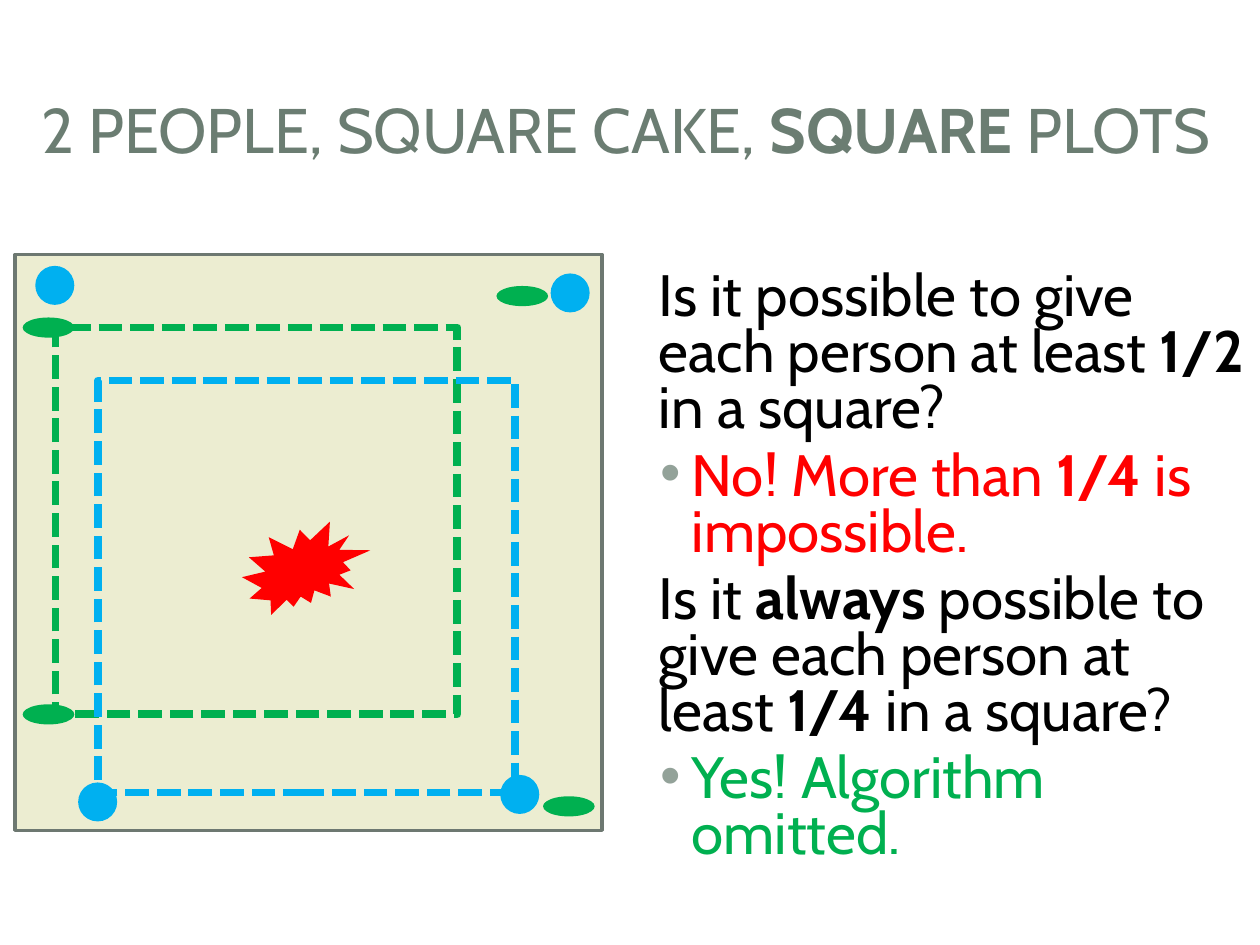
from dataclasses import dataclass
from pptx import Presentation
from pptx import util as u
from pptx.dml import color
from pptx.enum import dml, shapes, text
from pptx.oxml import xmlchemy, ns
from lxml import etree


@dataclass(frozen=True)
class Theme:
    font: str = "Cabin"
    title_size: float = 36
    body_size: float = 33.3
    title: str = "6B7D72"
    body: str = "000000"
    bullet: str = "93A299"
    cake: str = "ECEDD1"
    cake_edge: str = "6D7871"
    red: str = "FF0000"
    green: str = "00B050"
    blue: str = "00B0F0"


theme = Theme()
Kind = shapes.MSO_SHAPE

deck = Presentation()
deck.slide_width, deck.slide_height = u.Inches(10), u.Inches(7.5)
page = deck.slides.add_slide(deck.slide_layouts[1])


def add_shape(kind, place, fill=None, edge=None, width=0):
    shape = page.shapes.add_shape(kind, *[u.Inches(value) for value in place])
    shape.shadow.inherit = False
    if fill:
        shape.fill.solid()
        shape.fill.fore_color.rgb = color.RGBColor.from_string(fill)
    else:
        shape.fill.background()
    if edge:
        shape.line.color.rgb = color.RGBColor.from_string(edge)
        shape.line.width = u.Pt(width)
    else:
        shape.line.fill.background()
    return shape


def add_spans(para, pieces, size, tint):
    for index, piece in enumerate(pieces):
        span = para.add_run()
        span.text = piece
        span.font.name = theme.font
        span.font.size = u.Pt(size)
        span.font.bold = index % 2 == 1
        span.font.color.rgb = color.RGBColor.from_string(tint)


title, body = page.shapes.title, page.placeholders[1]
for box, place, anchor in [
    (title, (0.12, 0.45, 9.69, 1.14), text.MSO_ANCHOR.MIDDLE),
    (body, (5.01, 2.11, 5.04, 4.8), text.MSO_ANCHOR.TOP),
]:
    box.left, box.top, box.width, box.height = [u.Inches(value) for value in place]
    box.text_frame.word_wrap = True
    box.text_frame.auto_size = text.MSO_AUTO_SIZE.NONE
    box.text_frame.vertical_anchor = anchor

heading = title.text_frame.paragraphs[0]
heading.alignment = text.PP_ALIGN.CENTER
add_spans(heading, ["2 PEOPLE, SQUARE CAKE, ", "SQUARE", " PLOTS"], theme.title_size, theme.title)

lines = [
    (["Is it possible to give each person at least ", "1/2 ", "in a square?"], theme.body, False),
    (["No! More than ", "1/4", " is impossible."], theme.red, True),
    (["Is it ", "always", " possible to give each person at least ", "1/4 ", "in a square?"], theme.body, False),
    (["Yes! Algorithm omitted."], theme.green, True),
]
for index, (pieces, tint, bulleted) in enumerate(lines):
    para = body.text_frame.paragraphs[0] if index == 0 else body.text_frame.add_paragraph()
    para.alignment = text.PP_ALIGN.LEFT
    para.line_spacing = 0.8
    para.space_before = u.Pt(6.5)
    props = para._p.get_or_add_pPr()
    props.set("marL", str(u.Inches(0.38 if bulleted else 0.12)))
    props.set("indent", str(u.Inches(-0.25 if bulleted else 0)))
    if bulleted:
        tone = etree.SubElement(props, ns.qn("a:buClr"))
        etree.SubElement(tone, ns.qn("a:srgbClr")).set("val", theme.bullet)
        etree.SubElement(props, ns.qn("a:buFont")).set("typeface", "Arial")
        etree.SubElement(props, ns.qn("a:buChar")).set("char", "•")
    else:
        etree.SubElement(props, ns.qn("a:buNone"))
    add_spans(para, pieces, theme.body_size, tint)

cake = add_shape(Kind.RECTANGLE, (0.12, 2.02, 4.66, 4.57), theme.cake, theme.cake_edge, 2)

for place, tint in [((0.44, 2.6, 3.19, 3.07), theme.green), ((0.78, 3.02, 3.31, 3.27), theme.blue)]:
    plot = add_shape(Kind.RECTANGLE, place, edge=tint, width=4.5)
    plot.line.dash_style = dml.MSO_LINE.SQUARE_DOT

add_shape(Kind.EXPLOSION2, (1.92, 4.14, 1.02, 0.74), theme.red)

for blue_spot, green_spot in [
    ((4.37, 2.17), (3.94, 2.27)),
    ((0.28, 2.11), (0.18, 2.52)),
    ((3.97, 6.15), (4.31, 6.32)),
    ((0.62, 6.21), (0.18, 5.59)),
]:
    add_shape(Kind.OVAL, (*blue_spot, 0.31, 0.31), theme.blue)
    add_shape(Kind.OVAL, (*green_spot, 0.41, 0.16), theme.green)

deck.save("out.pptx")
